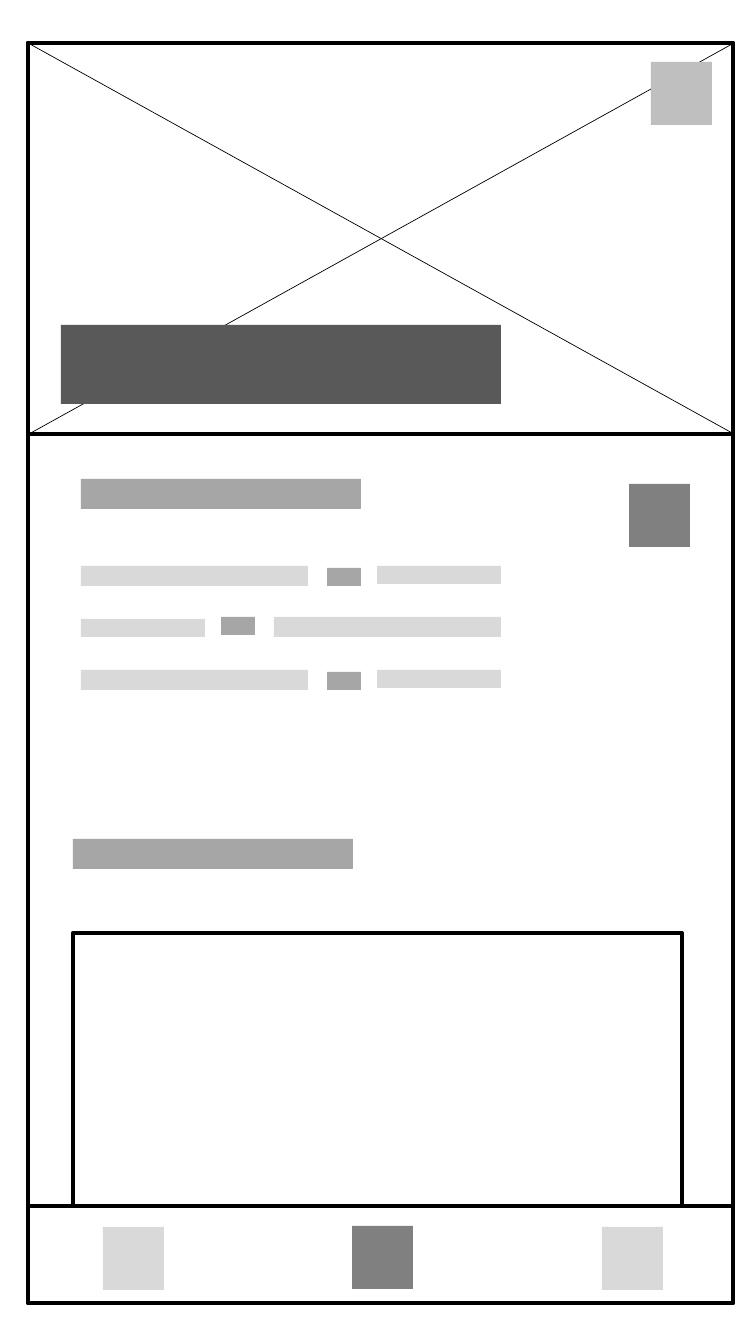
from dataclasses import dataclass

from pptx import Presentation
from pptx import util as u
from pptx.dml import color
from pptx.enum import shapes
from pptx.oxml import ns
from lxml import etree

SCALE = 914400 / 100.8  # EMU per pixel
BLACK, CHARCOAL, DARK = "000000", "595959", "808080"
MEDIUM, SILVER, LIGHT = "A6A6A6", "BFBFBF", "D9D9D9"


@dataclass(frozen=True)
class Block:
    left: int
    top: int
    width: int
    height: int
    fill: str = ""  # an empty fill means a black outline


def px(pixels: int) -> u.Emu:
    return u.Emu(round(pixels * SCALE))


def rgb(value: str) -> color.RGBColor:
    return color.RGBColor.from_string(value)


def draw_block(target, block: Block) -> None:
    box = target.add_shape(shapes.MSO_SHAPE.RECTANGLE, px(block.left), px(block.top),
                           px(block.width), px(block.height))
    box.shadow.inherit = False
    if block.fill:
        box.fill.solid()
        box.fill.fore_color.rgb = rgb(block.fill)
        box.line.fill.background()
    else:
        box.fill.background()
        box.line.color.rgb = rgb(BLACK)
        box.line.width = u.Pt(3)


def draw_line(target, left: int, top: int, right: int, bottom: int) -> None:
    line = target.add_connector(shapes.MSO_CONNECTOR.STRAIGHT,
                                px(left), px(top), px(right), px(bottom))
    line.line.color.rgb = rgb(BLACK)
    line.line.width = u.Pt(0.5)
    etree.SubElement(line._element.spPr, ns.qn("a:effectLst"))


def square(left: int, top: int, fill: str) -> Block:
    return Block(left, top, 61, 63, fill)


def heading(left: int, top: int) -> Block:
    return Block(left, top, 280, 30, MEDIUM)


# One text row, relative to its own corner
ROW_LEFT, ROW_WIDTH, ROW_HEIGHT = 81, 420, 20
ROW_BARS = (Block(0, 0, 227, 20, LIGHT), Block(246, 2, 34, 18, MEDIUM),
            Block(296, 0, 124, 18, LIGHT))


def draw_text_row(target, top: int, turned: bool) -> None:
    """Draw a row of bars, turned by half a circle if asked."""
    row = target.add_group_shape()
    for bar in ROW_BARS:
        left, drop = bar.left, bar.top
        if turned:
            left = ROW_WIDTH - bar.left - bar.width
            drop = ROW_HEIGHT - bar.top - bar.height
        draw_block(row.shapes, Block(ROW_LEFT + left, top + drop,
                                     bar.width, bar.height, bar.fill))


deck = Presentation()
deck.slide_width, deck.slide_height = px(756), px(1344)
page = deck.slides.add_slide(deck.slide_layouts[6]).shapes

# Screen, navigation bar and hero frames
for frame in (Block(28, 43, 705, 1260), Block(28, 1206, 705, 97), Block(28, 43, 705, 391)):
    draw_block(page, frame)

# Crossed hero image placeholder
draw_line(page, 28, 43, 734, 434)
draw_line(page, 29, 434, 734, 43)

# Hero title, buttons and first heading
for block in (Block(61, 325, 440, 79, CHARCOAL), square(629, 484, DARK),
              square(651, 62, SILVER), heading(81, 479)):
    draw_block(page, block)

# Text rows, the middle one turned
for row_top, is_turned in ((566, False), (617, True), (670, False)):
    draw_text_row(page, row_top, is_turned)

# Second heading and content panel
draw_block(page, heading(73, 839))
draw_block(page, Block(73, 933, 609, 273))

# Navigation icons
for icon in (square(352, 1226, DARK), square(602, 1227, LIGHT), square(103, 1227, LIGHT)):
    draw_block(page, icon)

deck.save("out.pptx")
